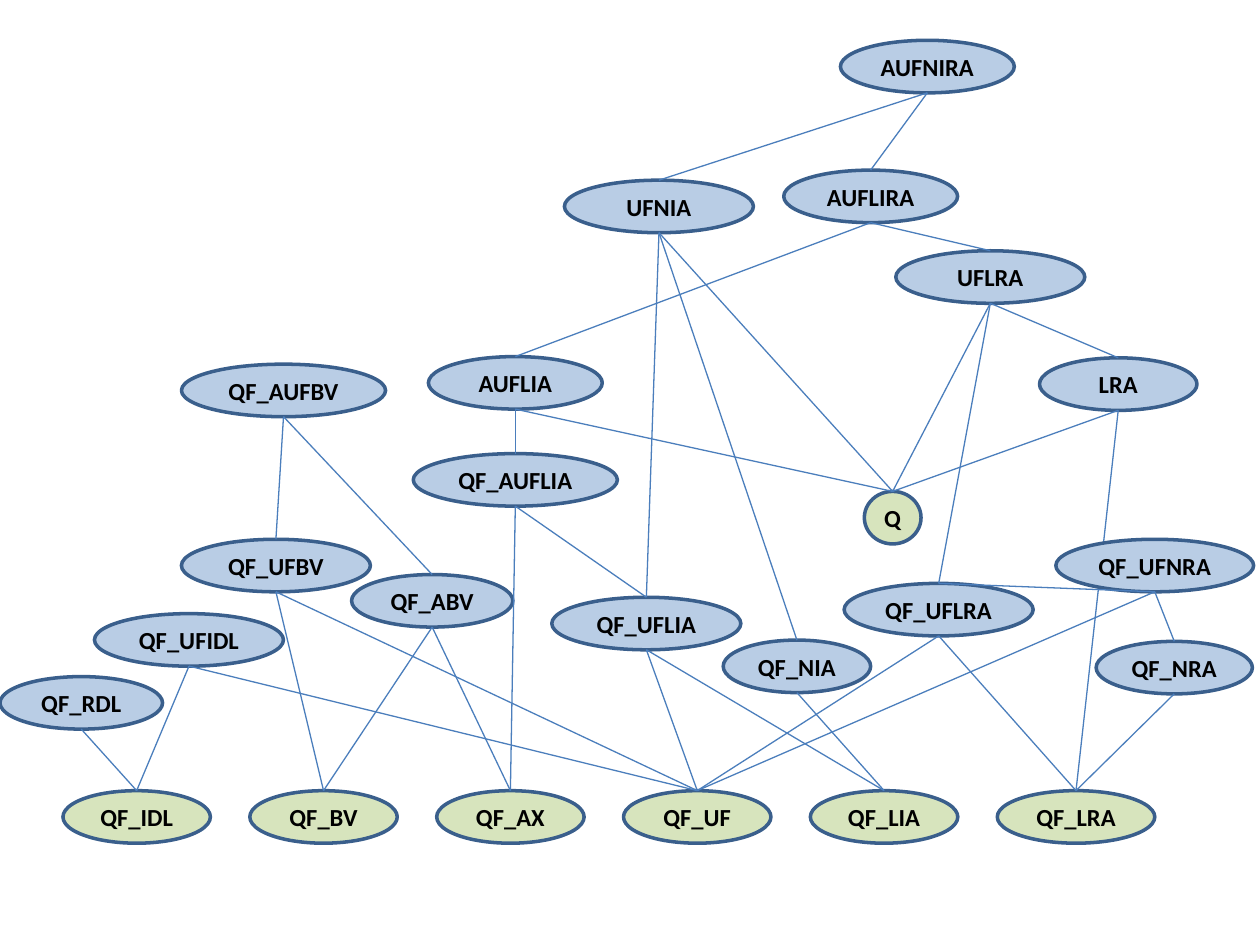
"""Draw the hierarchy of SMT logics as a graph of linked ellipses."""
import lxml.etree
import pptx
import pptx.dml.color
import pptx.enum.shapes
import pptx.enum.text
import pptx.oxml.ns
import pptx.util

THEME = {
    "font": "Calibri", "size": 14, "text": "000000",
    "base": "D7E4BD", "logic": "B9CDE5",
    "outline": "3A5F8C", "outline_width": 2,
    "link": "4B7EBC", "link_width": 0.75,
}
COLUMNS, ROWS = 100, 75
UNIT = pptx.util.Inches(0.1)
NODE_HEIGHT = 4.17

BASE_LEFT, BASE_TOP, BASE_PITCH = 5, 62.75, 14.83
BASE_ROW = [("QF_IDL", 11.7), ("QF_BV", 11.7), ("QF_AX", 11.7),
            ("QF_UF", 11.7), ("QF_LIA", 11.7), ("QF_LRA", 12.5)]
CORE = ("Q", 68.6, 39, 4.5)
LOGICS = [
    ("QF_RDL", 0, 53.7, 12.9),
    ("QF_NRA", 87, 50.9, 12.4),
    ("QF_NIA", 57.4, 50.8, 11.7),
    ("QF_UFIDL", 7.5, 48.7, 15),
    ("QF_UFLIA", 43.8, 47.4, 15),
    ("QF_UFLRA", 67, 46.3, 15),
    ("QF_ABV", 27.9, 45.6, 12.8),
    ("QF_UFBV", 14.4, 42.8, 15),
    ("QF_AUFLIA", 32.8, 36, 16.2),
    ("QF_AUFBV", 14.4, 28.9, 16.2),
    ("LRA", 82.5, 28.4, 12.5),
    ("AUFLIA", 34, 28.3, 13.8),
    ("UFLRA", 71.1, 19.9, 15),
    ("UFNIA", 44.8, 14.3, 15),
    ("AUFLIRA", 62.2, 13.5, 13.8),
    ("AUFNIRA", 66.7, 3.2, 13.8),
    ("QF_UFNRA", 83.8, 42.8, 15.7),
]
LINKS = {
    "AUFNIRA": ["UFNIA", "AUFLIRA"],
    "AUFLIRA": ["AUFLIA", "UFLRA"],
    "UFNIA": ["Q", "QF_UFLIA", "QF_NIA"],
    "UFLRA": ["Q", "LRA", "QF_UFLRA"],
    "AUFLIA": ["Q", "QF_AUFLIA"],
    "LRA": ["Q", "QF_LRA"],
    "QF_AUFBV": ["QF_UFBV", "QF_ABV"],
    "QF_AUFLIA": ["QF_UFLIA", "QF_AX"],
    "QF_UFBV": ["QF_BV", "QF_UF"],
    "QF_UFNRA": ["QF_UFLRA", "QF_NRA", "QF_UF"],
    "QF_ABV": ["QF_BV", "QF_AX"],
    "QF_UFLRA": ["QF_UF", "QF_LRA"],
    "QF_UFLIA": ["QF_UF", "QF_LIA"],
    "QF_UFIDL": ["QF_IDL", "QF_UF"],
    "QF_NIA": ["QF_LIA"],
    "QF_NRA": ["QF_LRA"],
    "QF_RDL": ["QF_IDL"],
}


def color(name):
    return pptx.dml.color.RGBColor.from_string(THEME[name])


def grid(cells):
    return round(cells * UNIT)


def write(box, text, *, size, bold):
    frame = box.text_frame
    frame.word_wrap = False
    frame.vertical_anchor = pptx.enum.text.MSO_ANCHOR.MIDDLE
    para = frame.paragraphs[0]
    para.alignment = pptx.enum.text.PP_ALIGN.CENTER
    span = para.add_run()
    span.text = text
    span.font.name = THEME["font"]
    span.font.size = pptx.util.Pt(size)
    span.font.bold = bold
    span.font.color.rgb = color("text")


def add_node(page, name, left, top, width, fill):
    node = page.shapes.add_shape(
        pptx.enum.shapes.MSO_SHAPE.OVAL,
        grid(left), grid(top), grid(width), grid(NODE_HEIGHT))
    node.shadow.inherit = False
    node.fill.solid()
    node.fill.fore_color.rgb = color(fill)
    node.line.color.rgb = color("outline")
    node.line.width = pptx.util.Pt(THEME["outline_width"])
    write(node, name, size=THEME["size"], bold=True)
    return node


def add_link(page, parent, child):
    link = page.shapes.add_connector(
        pptx.enum.shapes.MSO_CONNECTOR.STRAIGHT,
        parent.left + parent.width // 2, parent.top + parent.height,
        child.left + child.width // 2, child.top)
    link.begin_connect(parent, 2)
    link.end_connect(child, 0)
    link._element.nvCxnSpPr.cNvCxnSpPr.stCxn.idx = 4
    link.line.color.rgb = color("link")
    link.line.width = pptx.util.Pt(THEME["link_width"])
    lxml.etree.SubElement(link._element.spPr, pptx.oxml.ns.qn("a:effectLst"))


deck = pptx.Presentation()
deck.slide_width, deck.slide_height = COLUMNS * UNIT, ROWS * UNIT
page = deck.slides.add_slide(deck.slide_layouts[6])

placed = [(name, BASE_LEFT + column * BASE_PITCH, BASE_TOP, width, "base")
          for column, (name, width) in enumerate(BASE_ROW)]
placed += [(*CORE, "base")] + [(*logic, "logic") for logic in LOGICS]

nodes = {}
for entry in placed:
    name = entry[0]
    nodes[name] = add_node(page, *entry)
    for child in LINKS.get(name, []):
        add_link(page, nodes[name], nodes[child])

deck.save("out.pptx")
